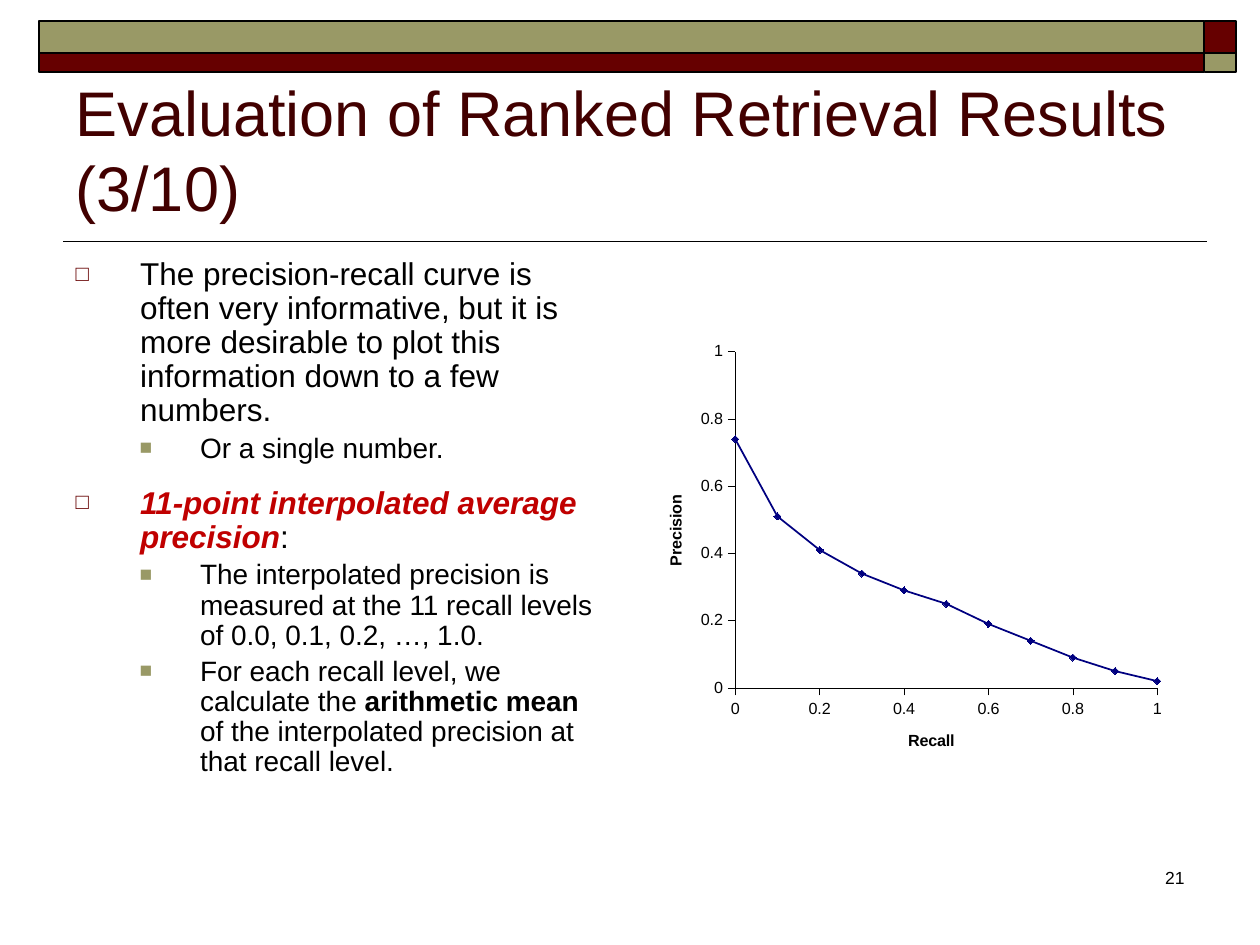
"""Build the slide on ranked retrieval with its precision and recall chart."""
from lxml.etree import SubElement
from pptx import Presentation
from pptx.chart.data import XyChartData
from pptx.dml.color import RGBColor
from pptx.enum.chart import XL_CHART_TYPE, XL_MARKER_STYLE, XL_TICK_MARK
from pptx.enum.shapes import MSO_CONNECTOR, MSO_SHAPE
from pptx.enum.text import MSO_ANCHOR, MSO_AUTO_SIZE, PP_ALIGN
from pptx.oxml import parse_xml
from pptx.oxml.ns import nsdecls, qn
from pptx.util import Cm, Pt


class Theme:
    face = "Arial"
    black = RGBColor(0, 0, 0)
    wine = RGBColor(0x66, 0, 0)
    olive = RGBColor(0x99, 0x99, 0x66)
    head = RGBColor(0x42, 0, 0)
    red = RGBColor(0xC0, 0, 0)
    navy = RGBColor(0, 0, 0x80)
    title, page, chart = Pt(36), Pt(10), Pt(9.2)
    body = (Pt(18), Pt(16))


def style(font, size, color=Theme.black, bold=False, slant=False):
    font.name, font.size, font.bold, font.italic = Theme.face, size, bold, slant
    font.color.rgb = color


def place(shape, left, top, width, height):
    shape.left, shape.top = Cm(left), Cm(top)
    shape.width, shape.height = Cm(width), Cm(height)


deck = Presentation()
deck.slide_width, deck.slide_height = Cm(25.4), Cm(19.05)
slide = deck.slides.add_slide(deck.slide_layouts[1])
shapes = slide.shapes

rule = shapes.add_connector(MSO_CONNECTOR.STRAIGHT, Cm(24.33), Cm(4.87), Cm(1.27), Cm(4.87))
rule.line.color.rgb, rule.line.width = Theme.black, Pt(1)
SubElement(rule._element.spPr, qn("a:effectLst"))

cols = [(0.78, 23.5), (24.28, 0.64)]
rows = [(0.43, 0.64), (1.07, 0.38)]
for r, (top, height) in enumerate(rows):
    for c, (left, width) in enumerate(cols):
        bar = shapes.add_shape(MSO_SHAPE.RECTANGLE, Cm(left), Cm(top), Cm(width), Cm(height))
        bar.shadow.inherit = False
        bar.fill.solid()
        bar.fill.fore_color.rgb = Theme.olive if r == c else Theme.wine
        bar.line.color.rgb, bar.line.width = Theme.black, Pt(1)

title = shapes.title
place(title, 1.27, 1.47, 22.86, 3.18)
frame = title.text_frame
frame.auto_size, frame.vertical_anchor = MSO_AUTO_SIZE.NONE, MSO_ANCHOR.BOTTOM
para = frame.paragraphs[0]
para.alignment = PP_ALIGN.LEFT
run = para.add_run()
run.text = "Evaluation of Ranked Retrieval Results (3/10)"
style(run.font, Theme.title, Theme.head)

points = [
    (0, 3.6, [("The precision-recall curve is often very informative, but it is more "
               "desirable to plot this information down to a few numbers.", "")]),
    (1, 3.2, [("Or a single number.", "")]),
    (0, 13, [("11-point interpolated average precision", "key"), (":", "")]),
    (1, 3.2, [("The interpolated precision is measured at the 11 recall levels "
               "of 0.0, 0.1, 0.2, …, 1.0.", "")]),
    (1, 3.2, [("For each recall level, we calculate the ", ""), ("arithmetic mean", "bold"),
              (" of the interpolated precision at that recall level.", "")]),
]
marks = [("□", Theme.wine, 70, 1.3, -1.3), ("■", Theme.olive, 75, 2.51, -1.22)]
body = slide.placeholders[1]
place(body, 1.27, 5.08, 11.23, 11.94)
frame = body.text_frame
frame.auto_size, frame.vertical_anchor = MSO_AUTO_SIZE.NONE, MSO_ANCHOR.TOP
for n, (level, gap, parts) in enumerate(points):
    para = frame.add_paragraph() if n else frame.paragraphs[0]
    para.level, para.line_spacing, para.space_before = level, 0.9, Pt(gap)
    para.alignment = PP_ALIGN.LEFT
    sign, color, scale, left, hang = marks[level]
    props = para._p.get_or_add_pPr()
    props.set("marL", str(Cm(left)))
    props.set("indent", str(Cm(hang)))
    tint = SubElement(props, qn("a:buClr"))
    SubElement(tint, qn("a:srgbClr")).set("val", str(color))
    SubElement(props, qn("a:buSzPct")).set("val", str(scale * 1000))
    SubElement(props, qn("a:buFont")).set("typeface", Theme.face)
    SubElement(props, qn("a:buChar")).set("char", sign)
    for text, kind in parts:
        run = para.add_run()
        run.text = text
        key = kind == "key"
        style(run.font, Theme.body[level], Theme.red if key else Theme.black, bool(kind), key)

data = XyChartData()
curve = data.add_series("Series 1")
for n, value in enumerate([0.74, 0.51, 0.41, 0.34, 0.29, 0.25, 0.19, 0.14, 0.09, 0.05, 0.02]):
    curve.add_data_point(n / 10, value)
chart = shapes.add_chart(XL_CHART_TYPE.XY_SCATTER_LINES, Cm(13.16), Cm(6.53),
                         Cm(10.72), Cm(9.04), data).chart
chart.has_title = chart.has_legend = False
style(chart.font, Theme.chart)
for axis, name in [(chart.category_axis, "Recall"), (chart.value_axis, "Precision")]:
    axis.minimum_scale, axis.maximum_scale, axis.major_unit = 0, 1, 0.2
    axis.has_major_gridlines = False
    axis.major_tick_mark, axis.minor_tick_mark = XL_TICK_MARK.OUTSIDE, XL_TICK_MARK.NONE
    axis.format.line.color.rgb, axis.format.line.width = Theme.black, Pt(0.25)
    labels = axis.tick_labels
    labels.number_format, labels.number_format_is_linked = "General", False
    style(labels.font, Theme.chart)
    run = axis.axis_title.text_frame.paragraphs[0].add_run()
    run.text = name
    style(run.font, Theme.chart, bold=True)

plot = chart.plots[0]
plot.vary_by_categories = False
line = plot.series[0]
line.smooth = False
line.format.line.color.rgb, line.format.line.width = Theme.navy, Pt(1)
line.marker.style, line.marker.size = XL_MARKER_STYLE.DIAMOND, 4
line.marker.format.fill.solid()
line.marker.format.fill.fore_color.rgb = Theme.navy
line.marker.format.line.color.rgb = Theme.navy

area = chart._chartSpace.chart.plotArea
for old in area.findall(qn("c:layout")):
    area.remove(old)
spots = [("layoutTarget", "inner"), ("xMode", "edge"), ("yMode", "edge"),
         ("x", 0.155), ("y", 0.062), ("w", 0.794), ("h", 0.75)]
inner = "".join(f'<c:{tag} val="{value}"/>' for tag, value in spots)
area.insert(0, parse_xml(
    f'<c:layout {nsdecls("c")}><c:manualLayout>{inner}</c:manualLayout></c:layout>'))

page = shapes.add_textbox(Cm(18.85), Cm(17.35), Cm(5.28), Cm(1.27))
page.text_frame.word_wrap = True
para = page.text_frame.paragraphs[0]
para.alignment = PP_ALIGN.RIGHT
run = para.add_run()
run.text = "21"
style(run.font, Theme.page)

deck.save("out.pptx")
